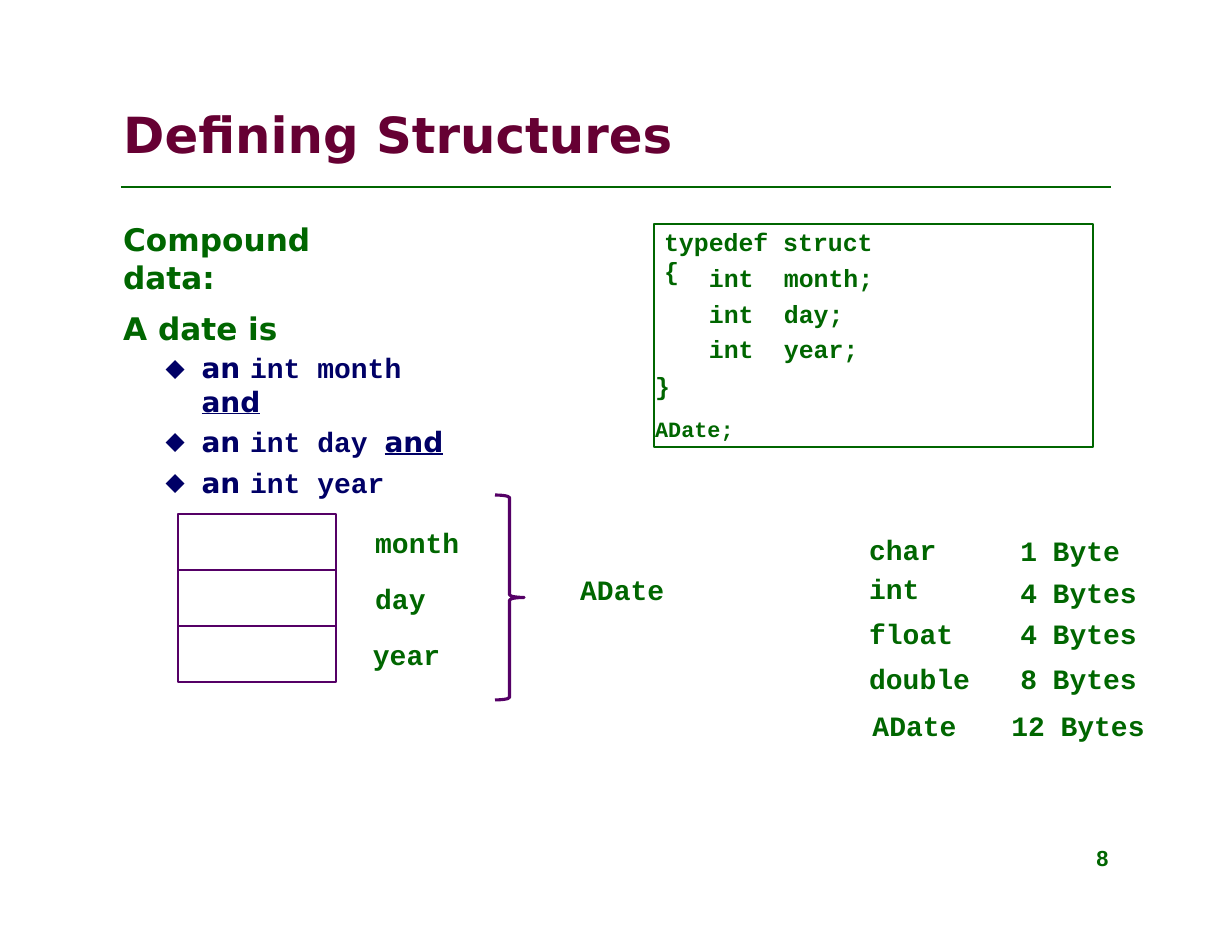
"""Build the Defining Structures slide."""
from dataclasses import dataclass

from lxml import etree
from pptx import Presentation
from pptx.dml.color import RGBColor
from pptx.enum.shapes import MSO_CONNECTOR, MSO_SHAPE
from pptx.enum.text import MSO_ANCHOR, MSO_AUTO_SIZE, PP_ALIGN
from pptx.oxml.ns import qn
from pptx.shapes.autoshape import Shape
from pptx.slide import Slide
from pptx.text.text import TextFrame, _Paragraph
from pptx.util import Inches, Pt

LEFT = PP_ALIGN.LEFT
RIGHT = PP_ALIGN.RIGHT
TOP = MSO_ANCHOR.TOP
NO_AUTOFIT = MSO_AUTO_SIZE.NONE
STRAIGHT = MSO_CONNECTOR.STRAIGHT
RECTANGLE = MSO_SHAPE.RECTANGLE
RIGHT_BRACE = MSO_SHAPE.RIGHT_BRACE


@dataclass(frozen=True)
class Theme:
    green: RGBColor = RGBColor(0x00, 0x66, 0x00)
    maroon: RGBColor = RGBColor(0x66, 0x00, 0x33)
    navy: RGBColor = RGBColor(0x00, 0x00, 0x66)
    purple: RGBColor = RGBColor(0x55, 0x00, 0x66)
    sans: str = "DejaVu Sans"
    mono: str = "Courier New"
    number: str = "Arial"
    title_size: float = 32
    heading_size: float = 20
    body_size: float = 18
    code_size: float = 16
    small_size: float = 14


THEME = Theme()


@dataclass(frozen=True)
class Box:
    left: float
    top: float
    width: float
    height: float

    def lengths(self) -> tuple:
        return tuple(Inches(v) for v in (self.left, self.top, self.width, self.height))


@dataclass(frozen=True)
class Line:
    text: str
    size: float = THEME.body_size
    font: str = THEME.mono
    before: float = 0
    leading: float = 0
    indent: float = 0.01


@dataclass(frozen=True)
class Field:
    article: str
    code: str
    joiner: str
    before: float


@dataclass(frozen=True)
class SizeRow:
    name: str
    count: str
    unit: str
    height: float
    name_leading: float
    size_leading: float
    name_indent: float = 0.03
    count_margin: float = 0.1
    unit_indent: float = 0.04


TEXTS = (
    (Box(1.09, 1.97, 2.4, 0.7), (Line("Compound data:", THEME.heading_size, THEME.sans),)),
    (Box(5.92, 2.02, 2.08, 0.55), (Line("typedef struct {", THEME.code_size),)),
    (Box(6.99, 2.29, 1.1, 0.99),
     tuple(Line(name, THEME.code_size, leading=23) for name in ("month;", "day;", "year;"))),
    (Box(5.84, 2.29, 1.04, 1.65),
     (*(Line("int", THEME.code_size, leading=23, indent=0.49) for _ in range(3)),
      Line("}", THEME.code_size, before=4.3),
      Line("ADate;", THEME.small_size, before=10))),
    (Box(3.32, 4.49, 0.9, 1.5),
     tuple(Line(name, leading=36, indent=indent)
           for name, indent in (("month", 0.03), ("day", 0.03), ("year", 0.01)))),
    (Box(5.17, 5.11, 0.85, 0.33), (Line("ADate"),)),
    (Box(9.78, 7.54, 0.2, 0.26), (Line("8", THEME.small_size, THEME.number),)),
)
FIELDS = (
    Field("an ", "int month ", "and", 2.8),
    Field("an ", "int day ", "and", 4.3),
    Field("an ", "int year", "", 4.3),
)
SIZE_COLUMNS = (1.11, 0.52, 0.89)
SIZE_ROWS = (
    SizeRow("char", "1", "Byte", 0.35, 20.7, 21.5),
    SizeRow("int", "4", "Bytes", 0.4, 20.5, 23),
    SizeRow("float", "4", "Bytes", 0.39, 20.8, 21),
    SizeRow("double", "8", "Bytes", 0.42, 21.5, 21.5),
    SizeRow("ADate", "12", "Bytes", 0.36, 22, 22, 0.06, 0.03, 0.11),
)


def write(paragraph: _Paragraph, text: str, *, font: str = THEME.mono,
          size: float = THEME.body_size, color: RGBColor = THEME.green,
          underline: bool = False) -> None:
    run = paragraph.add_run()
    run.text = text
    run.font.name = font
    run.font.size = Pt(size)
    run.font.bold = True
    run.font.underline = underline
    run.font.color.rgb = color


def prepare_frame(frame: TextFrame, top_margin: float = 0) -> None:
    frame.margin_left = frame.margin_right = frame.margin_bottom = 0
    frame.margin_top = Inches(top_margin)
    frame.word_wrap = True
    frame.auto_size = NO_AUTOFIT
    frame.vertical_anchor = TOP


def indent_paragraph(paragraph: _Paragraph, left: float, first: float = 0) -> None:
    properties = paragraph._p.get_or_add_pPr()
    properties.set("marL", str(Inches(left)))
    properties.set("indent", str(Inches(first)))


def add_bullet(paragraph: _Paragraph) -> None:
    properties = paragraph._p.get_or_add_pPr()
    for tag, name, value in (("a:buSzPct", "val", "89000"),
                             ("a:buFont", "typeface", THEME.sans),
                             ("a:buChar", "char", "◆")):
        etree.SubElement(properties, qn(tag)).set(name, value)


def add_lines(slide: Slide, box: Box, lines: tuple[Line, ...]) -> TextFrame:
    frame = slide.shapes.add_textbox(*box.lengths()).text_frame
    prepare_frame(frame)
    for index, line in enumerate(lines):
        paragraph = frame.add_paragraph() if index else frame.paragraphs[0]
        indent_paragraph(paragraph, line.indent)
        if line.leading:
            paragraph.line_spacing = Pt(line.leading)
        if line.before:
            paragraph.space_before = Pt(line.before)
        write(paragraph, line.text, font=line.font, size=line.size)
    return frame


def add_field_list(slide: Slide) -> None:
    heading = Line("A date is", THEME.heading_size, THEME.sans)
    frame = add_lines(slide, Box(1.09, 2.76, 3.1, 1.72), (heading,))
    for field in FIELDS:
        paragraph = frame.add_paragraph()
        indent_paragraph(paragraph, 0.71, -0.32)
        add_bullet(paragraph)
        paragraph.space_before = Pt(field.before)
        write(paragraph, field.article, font=THEME.sans, color=THEME.navy)
        write(paragraph, field.code, color=THEME.navy)
        if field.joiner:
            write(paragraph, field.joiner, font=THEME.sans, color=THEME.navy, underline=True)


def add_outline(slide: Slide, kind: MSO_SHAPE, box: Box, color: RGBColor,
                weight: float) -> Shape:
    shape = slide.shapes.add_shape(kind, *box.lengths())
    shape.shadow.inherit = False
    shape.fill.background()
    shape.line.color.rgb = color
    shape.line.width = Pt(weight)
    return shape


def add_title(slide: Slide) -> None:
    title = slide.shapes.title
    title.left, title.top, title.width, title.height = Box(1.07, 0.64, 8.86, 1.1).lengths()
    prepare_frame(title.text_frame, 0.29)
    paragraph = title.text_frame.paragraphs[0]
    paragraph.alignment = LEFT
    indent_paragraph(paragraph, 0.03)
    write(paragraph, "Defining Structures", font=THEME.sans, size=THEME.title_size,
          color=THEME.maroon)
    rule = slide.shapes.add_connector(
        STRAIGHT, Inches(1.08), Inches(1.67), Inches(9.92), Inches(1.67))
    rule.line.color.rgb = THEME.green
    rule.line.width = Pt(1.5)
    etree.SubElement(rule._element.spPr, qn("a:effectLst"))


def add_size_table(slide: Slide) -> None:
    box = Box(7.73, 4.79, sum(SIZE_COLUMNS), sum(row.height for row in SIZE_ROWS))
    table = slide.shapes.add_table(len(SIZE_ROWS), len(SIZE_COLUMNS), *box.lengths()).table
    table.first_row = table.horz_banding = False
    for column, width in zip(table.columns, SIZE_COLUMNS):
        column.width = Inches(width)
    for table_row, row in zip(table.rows, SIZE_ROWS):
        table_row.height = Inches(row.height)
        contents = (
            (row.name, row.name_leading, row.name_indent, 0, LEFT),
            (row.count, row.size_leading, 0, row.count_margin, RIGHT),
            (row.unit, row.size_leading, row.unit_indent, 0, LEFT),
        )
        for cell, (text, leading, left, right, alignment) in zip(table_row.cells, contents):
            cell.fill.background()
            cell.margin_top = cell.margin_bottom = 0
            cell.margin_left, cell.margin_right = Inches(left), Inches(right)
            paragraph = cell.text_frame.paragraphs[0]
            paragraph.alignment = alignment
            paragraph.line_spacing = Pt(leading)
            write(paragraph, text)


def main() -> None:
    presentation = Presentation()
    presentation.slide_width, presentation.slide_height = Inches(11), Inches(8.5)
    slide = presentation.slides.add_slide(presentation.slide_layouts[5])
    add_title(slide)
    add_outline(slide, RECTANGLE, Box(5.84, 2, 3.92, 1.99), THEME.green, 1.1)
    for index in range(3):
        add_outline(slide, RECTANGLE, Box(1.59, 4.59 + 0.5 * index, 1.41, 0.5),
                    THEME.purple, 1.2)
    brace = add_outline(slide, RIGHT_BRACE, Box(4.42, 4.42, 0.26, 1.83), THEME.purple, 2)
    brace.adjustments[0] = 0.09
    for box, lines in TEXTS:
        add_lines(slide, box, lines)
    add_field_list(slide)
    add_size_table(slide)
    presentation.save("out.pptx")


if __name__ == "__main__":
    main()
